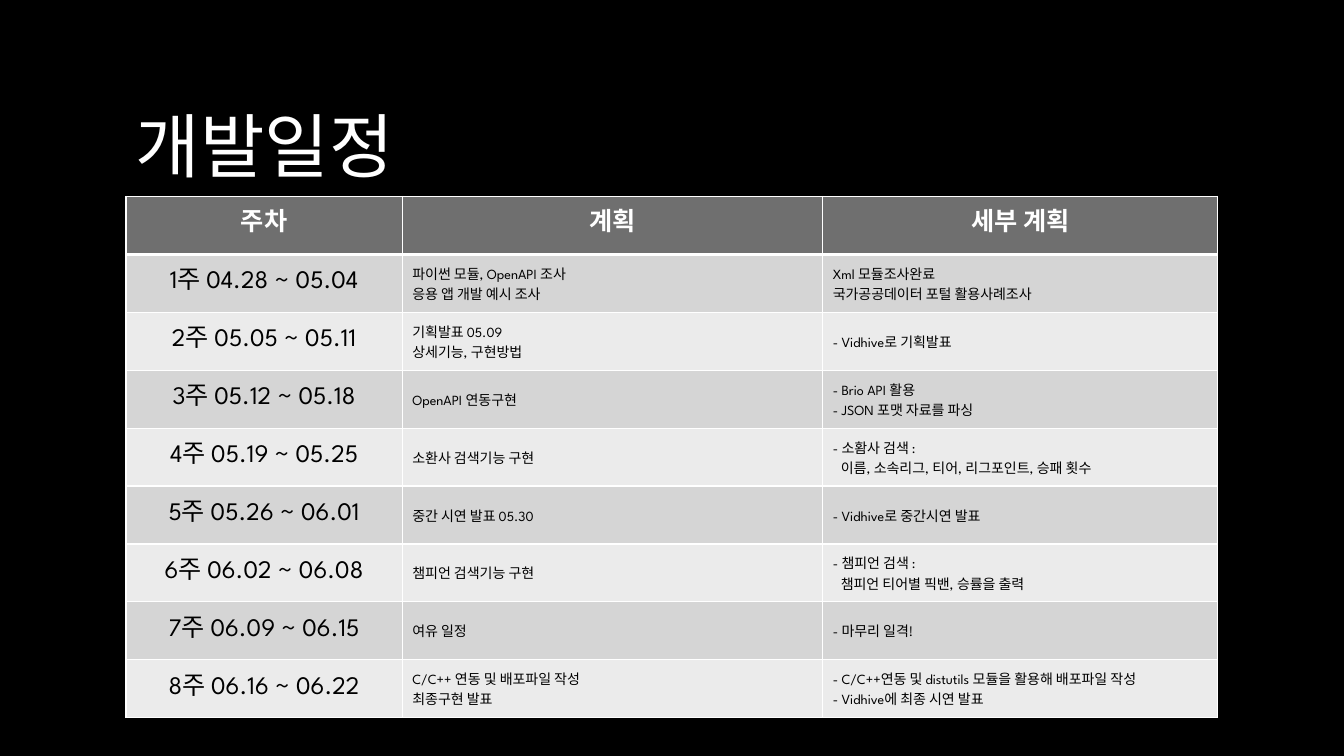
from pptx import Presentation
from pptx.dml.color import RGBColor
from pptx.enum.text import MSO_ANCHOR, PP_ALIGN
from pptx.oxml import parse_xml
from pptx.oxml.ns import nsdecls, qn
from pptx.util import Inches, Pt
from lxml.etree import SubElement

LATIN_FONT = "League Spartan"
KOREAN_FONT = "Noto Sans CJK KR"
COLUMN_WIDTHS = (2.74, 4.17, 3.92)
TABLE_HEIGHT = 5.17
HANGING = "  "  # marks a line that continues the item above

HEADINGS = ("주차", "계획", "세부 계획")
SCHEDULE = [
    ("1주 04.28 ~ 05.04",
     ["파이썬 모듈, OpenAPI 조사", "응용 앱 개발 예시 조사"],
     ["Xml 모듈조사완료", "국가공공데이터 포털 활용사례조사"]),
    ("2주 05.05 ~ 05.11",
     ["기획발표 05.09", "상세기능, 구현방법"],
     ["- Vidhive로 기획발표"]),
    ("3주 05.12 ~ 05.18",
     ["OpenAPI 연동구현"],
     ["- Brio API 활용", "- JSON 포맷 자료를 파싱"]),
    ("4주 05.19 ~ 05.25",
     ["소환사 검색기능 구현"],
     ["- 소홤사 검색 :", HANGING + "이름, 소속리그, 티어, 리그포인트, 승패 횟수"]),
    ("5주 05.26 ~ 06.01",
     ["중간 시연 발표 05.30"],
     ["- Vidhive로 중간시연 발표"]),
    ("6주 06.02 ~ 06.08",
     ["챔피언 검색기능 구현"],
     ["- 챔피언 검색 :", HANGING + "챔피언 티어별 픽밴, 승률을 출력"]),
    ("7주 06.09 ~ 06.15",
     ["여유 일정"],
     ["- 마무리 일격!"]),
    ("8주 06.16 ~ 06.22",
     ["C/C++ 연동 및 배포파일 작성", "최종구현 발표"],
     ["- C/C++연동 및 distutils 모듈을 활용해 배포파일 작성",
      "- Vidhive에 최종 시연 발표"]),
]


def color(value):
    return RGBColor.from_string(value)


def write(frame, lines, size, ink="000000", bold=False, font=LATIN_FONT,
          align=PP_ALIGN.LEFT):
    """Fill a text frame, one paragraph per line, and return its spans."""
    spans = []
    for index, line in enumerate(lines):
        para = frame.add_paragraph() if index else frame.paragraphs[0]
        para.alignment = align
        if line.startswith(HANGING):
            para._p.get_or_add_pPr().set("marL", str(Inches(0.08)))
        span = para.add_run()
        span.text = line.strip()
        span.font.size = Pt(size)
        span.font.bold = bold
        span.font.name = font
        span.font.color.rgb = color(ink)
        SubElement(span._r.get_or_add_rPr(), qn("a:ea"), typeface=KOREAN_FONT)
        spans.append(span)
    return spans


def add_title(page, text):
    box = page.shapes.add_textbox(Inches(1.25), Inches(0.67), Inches(10.83), Inches(1.52))
    box.text_frame.word_wrap = True
    box.text_frame.vertical_anchor = MSO_ANCHOR.MIDDLE
    for span in write(box.text_frame, [text], 50, "FFFFFF", font=KOREAN_FONT):
        fill = span.font.fill
        fill.gradient()
        fill.gradient_angle = 267
        for stop, shade in zip(fill.gradient_stops, ("FFFFFF", "A6A6A6")):
            stop.color.rgb = color(shade)


def set_borders(cell, top=1, bottom=1):
    """Draw white cell borders; widths are in points."""
    widths = {"lnL": 1, "lnR": 1, "lnT": top, "lnB": bottom}
    for index, (side, width) in enumerate(widths.items()):
        line = parse_xml(
            f'<a:{side} {nsdecls("a")} w="{Pt(width)}"><a:solidFill>'
            f'<a:srgbClr val="FFFFFF"/></a:solidFill></a:{side}>')
        cell._tc.get_or_add_tcPr().insert(index, line)


def fill_cell(cell, shade, lines, size, anchor=MSO_ANCHOR.TOP, top=1, bottom=1, **style):
    cell.fill.solid()
    cell.fill.fore_color.rgb = color(shade)
    cell.vertical_anchor = anchor
    set_borders(cell, top, bottom)
    write(cell.text_frame, lines, size, **style)


def add_schedule(page):
    row_count = len(SCHEDULE) + 1
    table = page.shapes.add_table(
        row_count, len(HEADINGS), Inches(1.25), Inches(1.95),
        Inches(sum(COLUMN_WIDTHS)), Inches(TABLE_HEIGHT)).table
    for column, width in zip(table.columns, COLUMN_WIDTHS):
        column.width = Inches(width)
    for row in table.rows:
        row.height = Inches(TABLE_HEIGHT / row_count)

    # Heading row
    for column, heading in enumerate(HEADINGS):
        fill_cell(table.cell(0, column), "6F6F6F", [heading], 18, bottom=3,
                  ink="FFFFFF", bold=True, align=PP_ALIGN.CENTER)

    # One banded row per week
    for row, (week, *details) in enumerate(SCHEDULE, start=1):
        shade = "D5D5D5" if row % 2 else "EBEBEB"
        top = 3 if row == 1 else 1
        fill_cell(table.cell(row, 0), shade, [week], 18, top=top, align=PP_ALIGN.CENTER)
        for column, lines in enumerate(details, start=1):
            fill_cell(table.cell(row, column), shade, lines, 10, MSO_ANCHOR.MIDDLE, top=top)


def main():
    deck = Presentation()
    deck.slide_width, deck.slide_height = Inches(13.33), Inches(7.5)
    page = deck.slides.add_slide(deck.slide_layouts[6])
    page.background.fill.solid()
    page.background.fill.fore_color.rgb = color("000000")
    add_title(page, "개발일정")
    add_schedule(page)
    deck.save("out.pptx")


if __name__ == "__main__":
    main()
